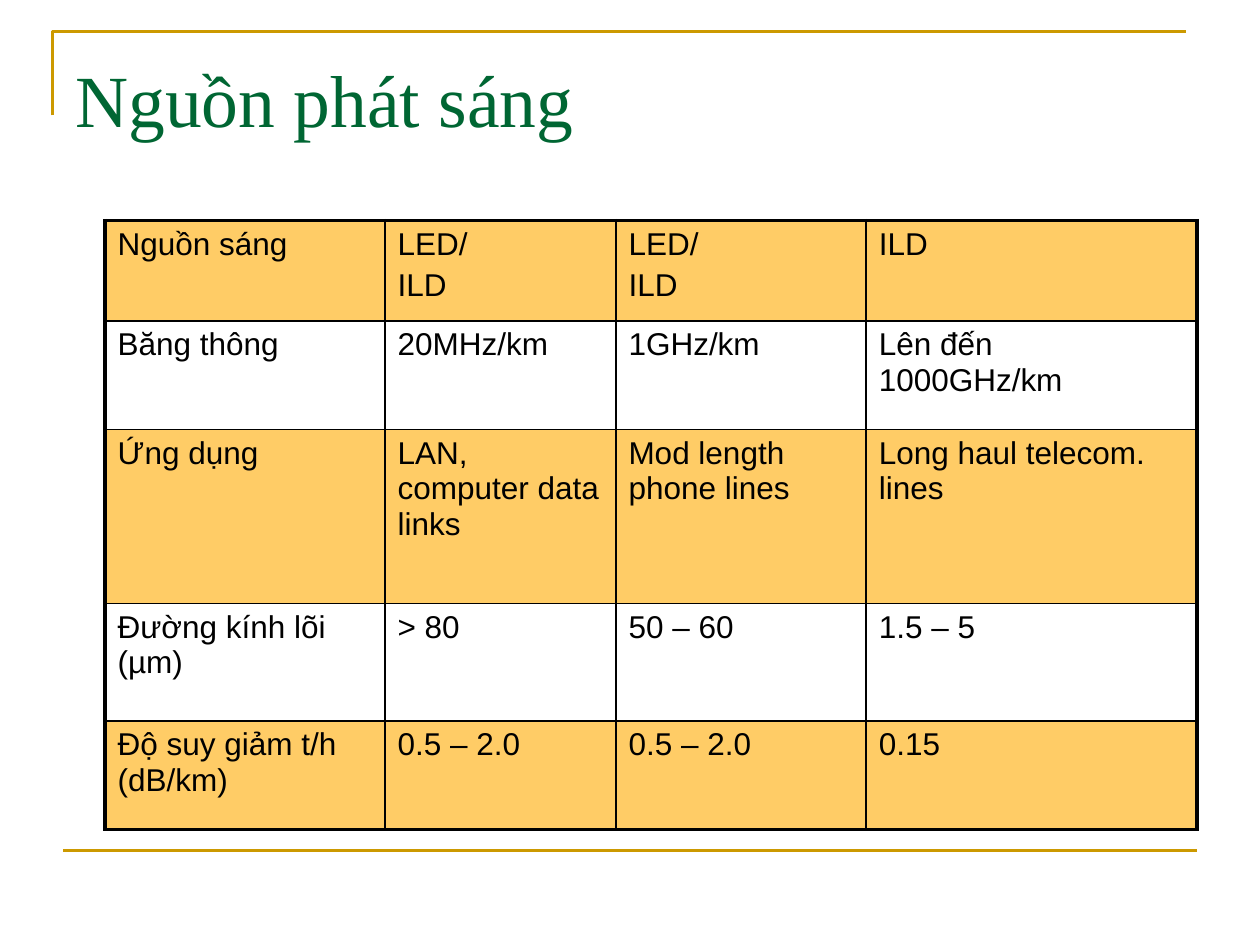
from pptx import Presentation
from pptx.dml.color import RGBColor
from pptx.enum.shapes import MSO_CONNECTOR
from pptx.enum.text import MSO_ANCHOR
from pptx.oxml.ns import qn
from pptx.util import Pt
from lxml.etree import SubElement

GOLD = RGBColor(0xCC, 0x99, 0x00)
GREEN = RGBColor(0x00, 0x66, 0x33)
AMBER = RGBColor(0xFF, 0xCC, 0x66)
BLACK = RGBColor(0x00, 0x00, 0x00)

OUTER_BORDER, INNER_BORDER = Pt(2.25), Pt(1)
COLUMN_WIDTHS = [160, 132, 143, 189]
ROW_HEIGHTS = [57.5, 62, 99.5, 67, 62]
LIGHT_SOURCES = [
    ["Nguồn sáng", "LED/\nILD", "LED/\nILD", "ILD"],
    ["Băng thông", "20MHz/km", "1GHz/km", "Lên đến 1000GHz/km"],
    ["Ứng dụng", "LAN, computer data links", "Mod length phone lines",
     "Long haul telecom. lines"],
    ["Đường kính lõi (µm)", "> 80", "50 – 60", "1.5 – 5"],
    ["Độ suy giảm t/h (dB/km)", "0.5 – 2.0", "0.5 – 2.0", "0.15"],
]


def style_line(line):
    line.color.rgb = GOLD
    line.width = Pt(1.5)


def add_corner_frame(page):
    builder = page.shapes.build_freeform(Pt(30), Pt(66))
    builder.add_line_segments([(Pt(30), Pt(18)), (Pt(678), Pt(18))], close=False)
    frame = builder.convert_to_shape()
    frame.shadow.inherit = False
    frame.fill.background()
    style_line(frame.line)


def add_footer_rule(page):
    rule = page.shapes.add_connector(
        MSO_CONNECTOR.STRAIGHT, Pt(36), Pt(486), Pt(684), Pt(486))
    style_line(rule.line)
    SubElement(rule._element.spPr, qn("a:effectLst"))


def add_title(page, text):
    box = page.shapes.add_textbox(Pt(36), Pt(21.6), Pt(648), Pt(90))
    frame = box.text_frame
    frame.word_wrap = True
    frame.vertical_anchor = MSO_ANCHOR.TOP
    frame.margin_top = Pt(9)
    para = frame.paragraphs[0]
    para.text = text
    para.font.name = "Times New Roman"
    para.font.size = Pt(42)
    para.font.color.rgb = GREEN


def set_borders(cell, widths):
    """Draw black borders; widths are left, right, top, bottom."""
    properties = cell._tc.get_or_add_tcPr()
    for side, width in zip("LRTB", widths):
        line = SubElement(properties, qn(f"a:ln{side}"), w=str(width))
        fill = SubElement(line, qn("a:solidFill"))
        SubElement(fill, qn("a:srgbClr"), val=str(BLACK))


def write_cell(cell, text):
    cell.text = text
    for index, para in enumerate(cell.text_frame.paragraphs):
        if index:
            para.space_before = Pt(3.6)
        para.font.name = "Arial"
        para.font.size = Pt(18)
        para.font.color.rgb = BLACK


def add_table(page, rows):
    row_count, column_count = len(rows), len(rows[0])
    table = page.shapes.add_table(
        row_count, column_count, Pt(60), Pt(126),
        Pt(sum(COLUMN_WIDTHS)), Pt(sum(ROW_HEIGHTS))).table
    table.first_row = table.horz_banding = False
    for column, width in zip(table.columns, COLUMN_WIDTHS):
        column.width = Pt(width)
    for row, height in zip(table.rows, ROW_HEIGHTS):
        row.height = Pt(height)

    for r, texts in enumerate(rows):
        for c, text in enumerate(texts):
            cell = table.cell(r, c)
            write_cell(cell, text)
            on_edge = (c == 0, c == column_count - 1, r == 0, r == row_count - 1)
            set_borders(cell, [OUTER_BORDER if edge else INNER_BORDER
                               for edge in on_edge])
            if r % 2 == 0:
                cell.fill.solid()
                cell.fill.fore_color.rgb = AMBER
            else:
                cell.fill.background()


def main():
    deck = Presentation()
    deck.slide_width, deck.slide_height = Pt(720), Pt(540)
    page = deck.slides.add_slide(deck.slide_layouts[6])
    add_corner_frame(page)
    add_footer_rule(page)
    add_title(page, "Nguồn phát sáng")
    add_table(page, LIGHT_SOURCES)
    deck.save("out.pptx")


if __name__ == "__main__":
    main()
